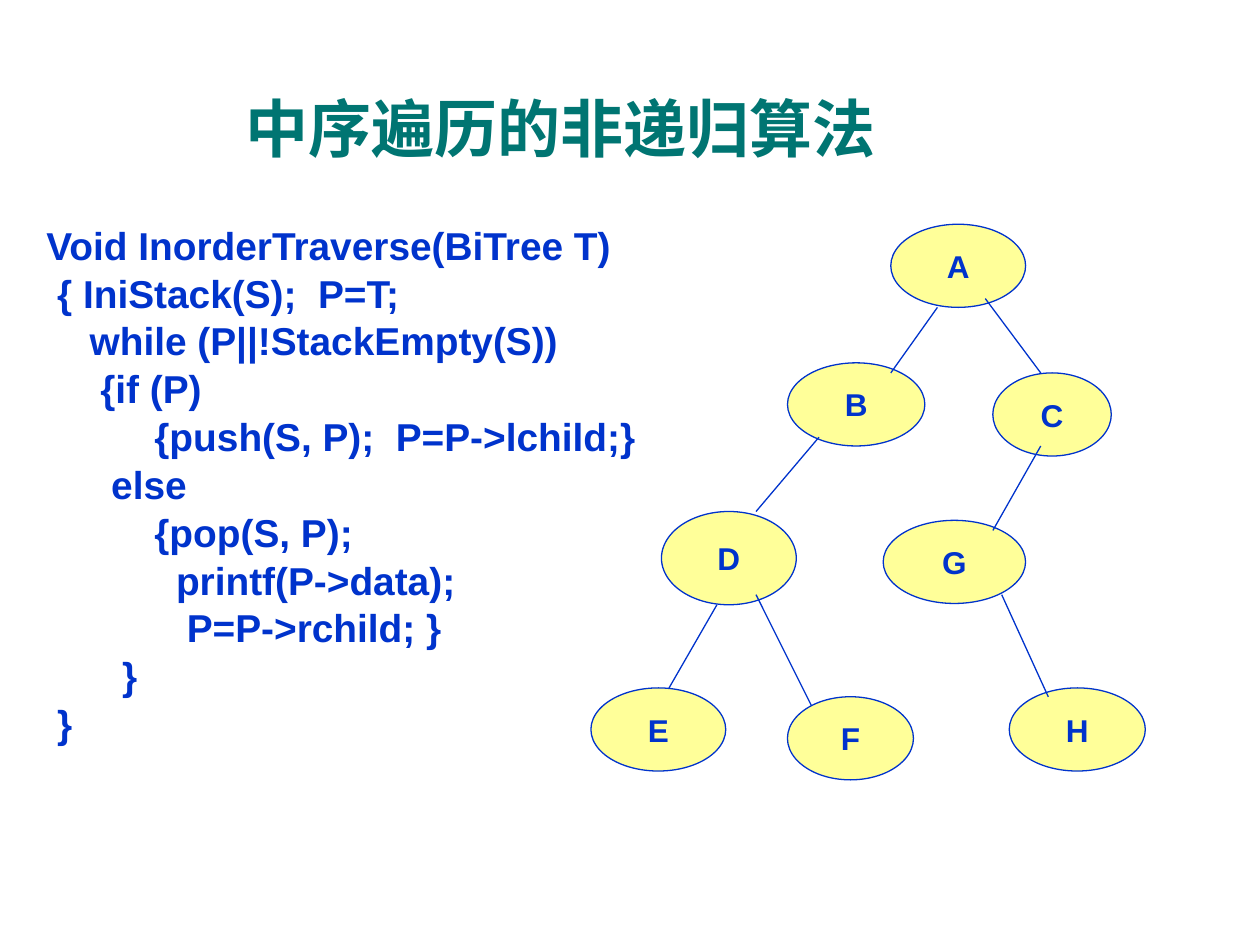
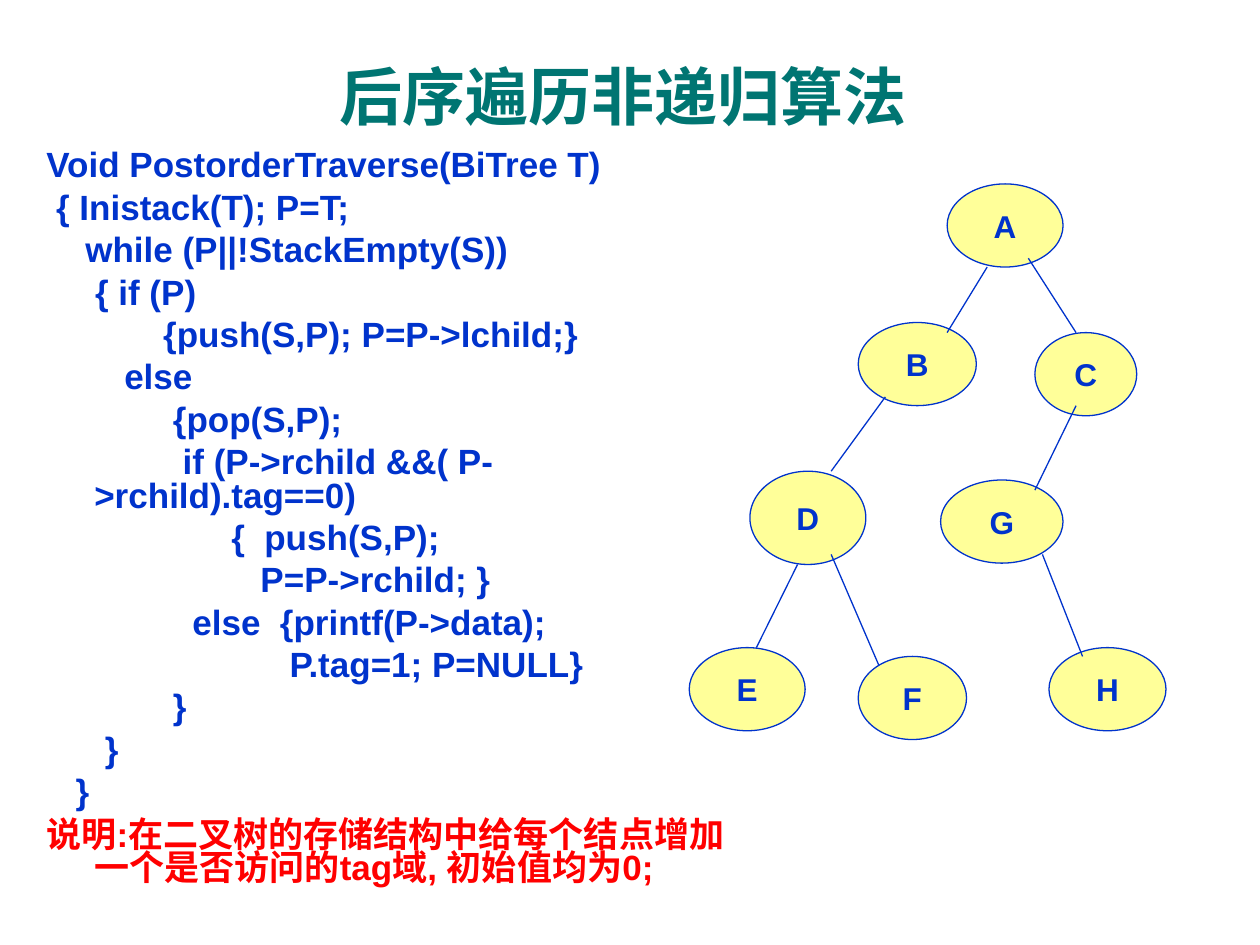
from pptx import Presentation
from pptx import util as u
from pptx.dml.color import RGBColor
from pptx.enum import shapes, text
from pptx.oxml.ns import qn
from lxml import etree

# Tree layout in inches from its top left corner: left, top, width, height
NODES = {
    "A": (2.38, 0, 1.07, 0.66),
    "B": (1.56, 1.1, 1.09, 0.66),
    "C": (3.19, 1.18, 0.94, 0.66),
    "D": (0.56, 2.28, 1.07, 0.74),
    "E": (0, 3.68, 1.07, 0.66),
    "F": (1.56, 3.75, 1, 0.66),
    "G": (2.32, 2.35, 1.13, 0.66),
    "H": (3.32, 3.68, 1.08, 0.66),
}
# Branches: x and y at the parent, x and y at the child
EDGES = [
    (2.75, 0.66, 2.38, 1.18),  # A-B
    (3.13, 0.59, 3.57, 1.18),  # A-C
    (1.81, 1.69, 1.31, 2.28),  # B-D
    (3.57, 1.76, 3.19, 2.43),  # C-G
    (1, 3.02, 0.62, 3.68),     # D-E
    (1.31, 2.94, 1.75, 3.82),  # D-F
    (3.26, 2.94, 3.63, 3.75),  # G-H
]

# Code lines: depth in spaces, text
INORDER = [
    (0, "Void InorderTraverse(BiTree T)"),
    (1, "{ IniStack(S);  P=T;"),
    (4, "while (P||!StackEmpty(S))"),
    (5, "{if (P)"),
    (10, "{push(S, P);  P=P->lchild;}"),
    (6, "else"),
    (10, "{pop(S, P);"),
    (12, "printf(P->data);"),
    (13, "P=P->rchild; }"),
    (7, "}"),
    (1, "}"),
]
POSTORDER = [
    (0, "Void PostorderTraverse(BiTree T)"),
    (1, "{ Inistack(T); P=T;"),
    (4, "while (P||!StackEmpty(S))"),
    (5, "{ if (P)"),
    (12, "{push(S,P); P=P->lchild;}"),
    (8, "else"),
    (13, "{pop(S,P);"),
    (14, "if (P->rchild &&( P->rchild).tag==0)"),
    (19, "{  push(S,P);"),
    (22, "P=P->rchild; }"),
    (15, "else  {printf(P->data);"),
    (25, "P.tag=1; P=NULL}"),
    (13, "}"),
    (6, "}"),
    (3, "}"),
]
NOTE = "说明:在二叉树的存储结构中给每个结点增加一个是否访问的tag域, 初始值均为0;"


def rgb(code):
    return RGBColor.from_string(code)


class Deck:
    font = "Arial"
    teal, blue, red, cream = "007572", "0033CC", "FF0000", "FFFF99"
    hang = 0.38
    space = 0.278  # width of a blank, as a share of the text size

    def __init__(self):
        self.prs = Presentation()
        self.prs.slide_width = u.Inches(10)
        self.prs.slide_height = u.Inches(7.5)
        self.slide = None

    def page(self):
        self.slide = self.prs.slides.add_slide(self.prs.slide_layouts[6])

    def run(self, para, words, size, color):
        run = para.add_run()
        run.text = words
        run.font.name = self.font
        run.font.size = u.Pt(size)
        run.font.bold = True
        run.font.color.rgb = rgb(color)

    def box(self, *area):
        frame = self.slide.shapes.add_textbox(*map(u.Inches, area)).text_frame
        frame.word_wrap = True
        return frame

    def title(self, words, *area):
        frame = self.box(*area)
        frame.vertical_anchor = text.MSO_ANCHOR.MIDDLE
        para = frame.paragraphs[0]
        para.alignment = text.PP_ALIGN.CENTER
        self.run(para, words, 36, self.teal)

    def code(self, lines, size, gap, *area, note=None):
        """Indent each first line by its depth; wrapped lines hang."""
        frame = self.box(*area)
        rows = [(depth, words, self.blue) for depth, words in lines]
        if note:
            rows.append((0, note, self.red))
        for i, (depth, words, color) in enumerate(rows):
            para = frame.add_paragraph() if i else frame.paragraphs[0]
            para.line_spacing = 0.8
            para.space_before = u.Pt(gap)
            first = depth * self.space * size / 72 - self.hang
            props = para._p.get_or_add_pPr()
            props.set("marL", str(u.Inches(self.hang)))
            props.set("indent", str(u.Inches(first)))
            self.run(para, words, size, color)

    def node(self, group, name, *area):
        oval = group.shapes.add_shape(shapes.MSO_SHAPE.OVAL, *map(u.Inches, area))
        oval.shadow.inherit = False
        oval.fill.solid()
        oval.fill.fore_color.rgb = rgb(self.cream)
        self.pen(oval)
        frame = oval.text_frame
        frame.word_wrap = False
        frame.vertical_anchor = text.MSO_ANCHOR.MIDDLE
        para = frame.paragraphs[0]
        para.alignment = text.PP_ALIGN.CENTER
        self.run(para, name, 18, self.blue)

    def edge(self, group, *ends):
        line = group.shapes.add_connector(
            shapes.MSO_CONNECTOR.STRAIGHT, *map(u.Inches, ends))
        self.pen(line)
        etree.SubElement(line._element.spPr, qn("a:effectLst"))

    def pen(self, shape):
        shape.line.color.rgb = rgb(self.blue)
        shape.line.width = u.Pt(0.75)

    def tree(self, left, top, scale=1):
        """Draw the tree, with its widths scaled and its heights kept."""
        group = self.slide.shapes.add_group_shape()
        for name, (x, y, w, h) in NODES.items():
            self.node(group, name, left + x * scale, top + y, w * scale, h)
        for x1, y1, x2, y2 in EDGES:
            self.edge(group, left + x1 * scale, top + y1,
                      left + x2 * scale, top + y2)


def main():
    deck = Deck()

    deck.page()
    deck.title("中序遍历的非递归算法", 0.27, 0.68, 8.35, 0.66)
    deck.code(INORDER, 22.2, 6, 0.27, 1.78, 5.69, 4.25)
    deck.tree(4.69, 1.78)

    deck.page()
    deck.title("后序遍历非递归算法", 0.27, 0.52, 9.35, 0.47)
    deck.code(POSTORDER, 20, 5, 0.27, 1.15, 5.75, 6.14, note=NOTE)
    deck.tree(5.47, 1.46, 0.86)

    deck.prs.save("out.pptx")


if __name__ == "__main__":
    main()
